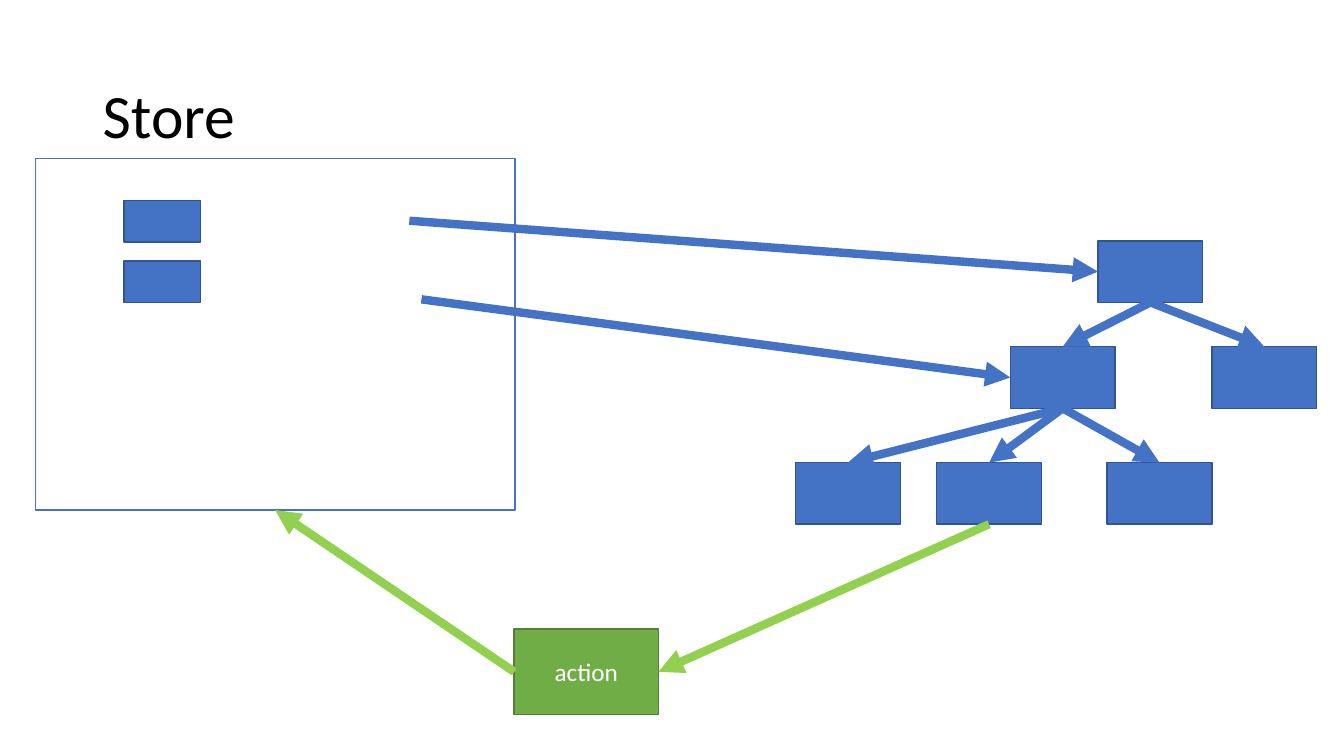
"""Build a slide showing a store feeding a component tree that sends actions back."""
from lxml import etree
from pptx import Presentation, util as u
from pptx.dml.color import RGBColor
from pptx.enum import shapes, text
from pptx.oxml.ns import qn

BLUE = RGBColor(0x44, 0x72, 0xC4)
DARK_BLUE = RGBColor(0x32, 0x54, 0x91)
GREEN = RGBColor(0x70, 0xAD, 0x47)
DARK_GREEN = RGBColor(0x53, 0x80, 0x35)
LIME = RGBColor(0x92, 0xD0, 0x50)
WHITE = RGBColor(0xFF, 0xFF, 0xFF)
BLACK = RGBColor(0, 0, 0)

TITLE = ("Store", (0.92, 0.4, 11.5, 1.45), 44, BLACK, text.PP_ALIGN.LEFT)
ACTION = ("action", (5.1, 6.24, 1.43, 0.85), 18, WHITE, text.PP_ALIGN.CENTER)
STORE = (0.35, 1.57, 4.76, 3.49)
STATE_SIZE, STATE_LEFT, STATE_TOPS = (0.76, 0.41), 1.23, (1.99, 2.59)
COMPONENT_SIZE = (1.04, 0.61)
COMPONENTS = {
    "root": (10.89, 2.39),
    "parent": (10.02, 3.44),
    "sibling": (12.02, 3.44),
    "left child": (7.89, 4.59),
    "middle child": (9.29, 4.59),
    "right child": (10.98, 4.59),
}
TREE = {
    "root": ("parent", "sibling"),
    "parent": ("left child", "middle child", "right child"),
}
STATE_FLOWS = [((4.06, 2.19), "root"), ((4.18, 2.97), "parent")]
TOP, LEFT, BOTTOM, RIGHT = range(4)
ACTION_FLOWS = [("middle child", BOTTOM, "action", RIGHT),
                ("action", LEFT, "store", BOTTOM)]


def inches(values):
    return [u.Inches(value) for value in values]


def add_box(slide, place, fill, outline):
    box = slide.shapes.add_shape(shapes.MSO_SHAPE.RECTANGLE, *inches(place))
    box.shadow.inherit = False
    box.fill.solid()
    box.fill.fore_color.rgb = fill
    box.line.color.rgb = outline
    box.line.width = u.Pt(1)
    return box


def write(box, wording, size, color, align):
    frame = box.text_frame
    frame.word_wrap = True
    frame.vertical_anchor = text.MSO_ANCHOR.MIDDLE
    paragraph = frame.paragraphs[0]
    paragraph.alignment = align
    run = paragraph.add_run()
    run.text = wording
    for name, value in {"name": "Calibri", "size": u.Pt(size)}.items():
        setattr(run.font, name, value)
    run.font.color.rgb = color


def add_arrow(slide, color, target, target_side, source=None, source_side=None, start=(0, 0)):
    arrow = slide.shapes.add_connector(
        shapes.MSO_CONNECTOR.STRAIGHT, *inches(start), *inches(start))
    if source is not None:
        arrow.begin_connect(source, source_side)
    arrow.end_connect(target, target_side)
    arrow.line.color.rgb = color
    arrow.line.width = u.Pt(6)
    etree.SubElement(arrow.line._get_or_add_ln(), qn("a:tailEnd"), type="triangle")
    etree.SubElement(arrow._element.spPr, qn("a:effectLst"))


def main():
    deck = Presentation()
    deck.slide_width, deck.slide_height = inches((13.33, 7.5))
    slide = deck.slides.add_slide(deck.slide_layouts[6])

    wording, place, *style = TITLE
    write(slide.shapes.add_textbox(*inches(place)), wording, *style)

    boxes = {name: add_box(slide, corner + COMPONENT_SIZE, BLUE, DARK_BLUE)
             for name, corner in COMPONENTS.items()}
    boxes["store"] = add_box(slide, STORE, WHITE, BLUE)
    for top in STATE_TOPS:
        add_box(slide, (STATE_LEFT, top) + STATE_SIZE, BLUE, DARK_BLUE)
    wording, place, *style = ACTION
    boxes["action"] = add_box(slide, place, GREEN, DARK_GREEN)
    write(boxes["action"], wording, *style)

    for parent, children in TREE.items():
        for child in children:
            add_arrow(slide, BLUE, boxes[child], TOP, boxes[parent], BOTTOM)
    for source, source_side, target, target_side in ACTION_FLOWS:
        add_arrow(slide, LIME, boxes[target], target_side, boxes[source], source_side)
    for start, component in STATE_FLOWS:
        add_arrow(slide, BLUE, boxes[component], LEFT, start=start)

    deck.save("out.pptx")


if __name__ == "__main__":
    main()
